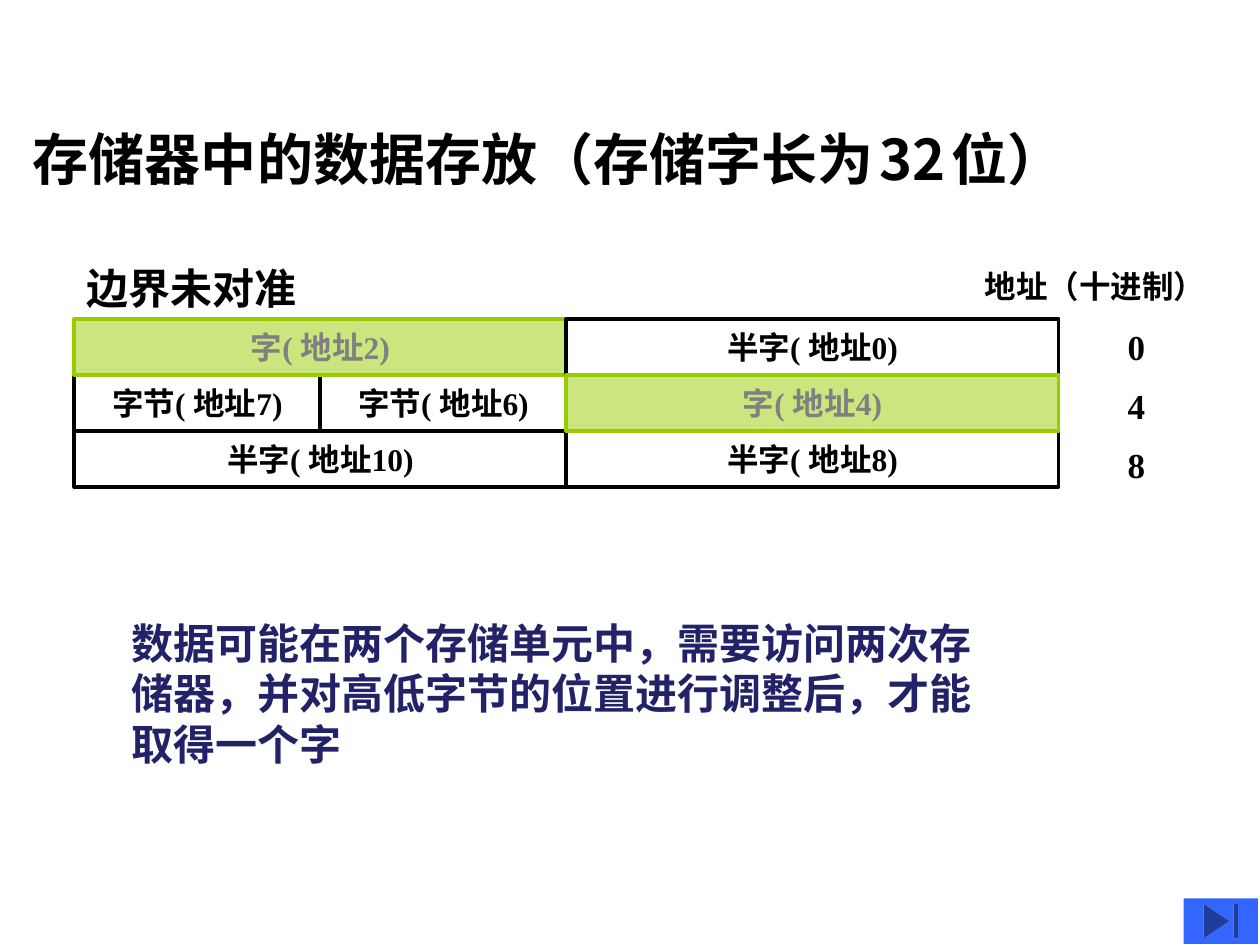
from lxml.etree import SubElement
from pptx import Presentation
from pptx.dml.color import RGBColor
from pptx.enum.shapes import MSO_SHAPE as Shape
from pptx.enum.text import MSO_ANCHOR as Anchor, MSO_AUTO_SIZE as AutoSize, PP_ALIGN as Align
from pptx.oxml.ns import qn
from pptx.util import Cm, Pt

BLACK = RGBColor(0x00, 0x00, 0x00)
GREY = RGBColor(0x80, 0x80, 0x80)
GREEN = RGBColor(0x99, 0xCC, 0x00)
NAVY = RGBColor(0x22, 0x22, 0x68)
BLUE = RGBColor(0x33, 0x66, 0xFF)
SANS = "Noto Sans CJK SC"
SERIF = "Times New Roman"


def add_run(paragraph, text, size, font_name=SERIF, color=BLACK):
    run = paragraph.add_run()
    run.text = text
    font = run.font
    font.size, font.bold, font.name = Pt(size), True, font_name
    font.color.rgb = color
    SubElement(font._element, qn("a:ea")).set("typeface", SANS)


def place(shape, left, top, width, height):
    shape.left, shape.top = Cm(left), Cm(top)
    shape.width, shape.height = Cm(width), Cm(height)
    frame = shape.text_frame
    frame.auto_size = AutoSize.NONE
    frame.vertical_anchor = Anchor.TOP
    frame.word_wrap = True
    return frame


prs = Presentation()
prs.slide_width, prs.slide_height = Cm(25.4), Cm(19.05)
slide = prs.slides.add_slide(prs.slide_layouts[1])
shapes = slide.shapes

# Title
title = place(shapes.title, 0.41, 2.39, 23.29, 1.62).paragraphs[0]
title.alignment = Align.LEFT
for text, size in [("存储器中的数据存放（存储字长为", 32), (" ", 14), ("32", 32), (" ", 14), ("位）", 32)]:
    add_run(title, text, size, SANS)

# Explanation below the memory map
explanation = place(slide.placeholders[1], 2.39, 12.32, 17.86, 3.3).paragraphs[0]
explanation_props = explanation._p.get_or_add_pPr()
explanation_props.set("marL", "0")
explanation_props.set("indent", "0")
SubElement(explanation_props, qn("a:buNone"))
explanation.space_before = Pt(0)
add_run(explanation, "数据可能在两个存储单元中，需要访问两次存储器，并对高低字节的位置进行调整后，才能取得一个字",
        24, SANS, NAVY)

# Address column
address_heading = place(shapes.add_textbox(0, 0, 0, 0), 19.6, 5.26, 4.95, 1.02)
address_heading.word_wrap = False
add_run(address_heading.paragraphs[0], "地址（十进制）", 18)

addresses = place(shapes.add_textbox(0, 0, 0, 0), 22.48, 6.1, 0.86, 3.81)
addresses.word_wrap = False
for index, address in enumerate(["0", "4", "8"]):
    line = addresses.add_paragraph() if index else addresses.paragraphs[0]
    line.line_spacing = 1.4
    add_run(line, address, 20)

# Memory map: four half-word-wide quarters per row, misaligned words in green
MAP_LEFT, MAP_TOP, BYTE_WIDTH, ROW_HEIGHT = 1.5, 6.43, 4.96, 1.13
cells = [  # label, row, column, columns spanned, misaligned
    ("字节( 地址7)", 1, 0, 1, False),
    ("字节( 地址6)", 1, 1, 1, False),
    ("字( 地址2)", 0, 0, 2, True),
    ("半字( 地址10)", 2, 0, 2, False),
    ("半字( 地址8)", 2, 2, 2, False),
    ("半字( 地址0)", 0, 2, 2, False),
    ("字( 地址4)", 1, 2, 2, True),
]
for label, row, column, span, misaligned in cells:
    cell = shapes.add_shape(Shape.RECTANGLE, 0, 0, 0, 0)
    cell_text = place(cell, MAP_LEFT + column * BYTE_WIDTH, MAP_TOP + row * ROW_HEIGHT,
                      span * BYTE_WIDTH, ROW_HEIGHT)
    cell_text.vertical_anchor = Anchor.MIDDLE
    cell_text.word_wrap = False
    cell.shadow.inherit = False
    cell.line.width = Pt(2.25)
    cell.line.color.rgb = GREEN if misaligned else BLACK
    if misaligned:
        cell.fill.solid()
        cell.fill.fore_color.rgb = GREEN
        green = cell.fill._xPr.find(qn("a:solidFill"))[0]
        SubElement(green, qn("a:alpha")).set("val", "50000")
    else:
        cell.fill.background()
    cell_text.paragraphs[0].alignment = Align.CENTER
    add_run(cell_text.paragraphs[0], label, 18, color=GREY if misaligned else BLACK)

map_heading = place(shapes.add_textbox(0, 0, 0, 0), 1.5, 5.16, 7.85, 1.27)
add_run(map_heading.paragraphs[0], "边界未对准", 24)

# Button to the last slide
end_button = shapes.add_shape(Shape.ACTION_BUTTON_END, Cm(23.86), Cm(18.11), Cm(1.5), Cm(0.92))
end_button.adjustments  # the preset has no adjustments
end_button.shadow.inherit = False
end_button.fill.solid()
end_button.fill.fore_color.rgb = BLUE
end_button.line.fill.background()

prs.save("out.pptx")
